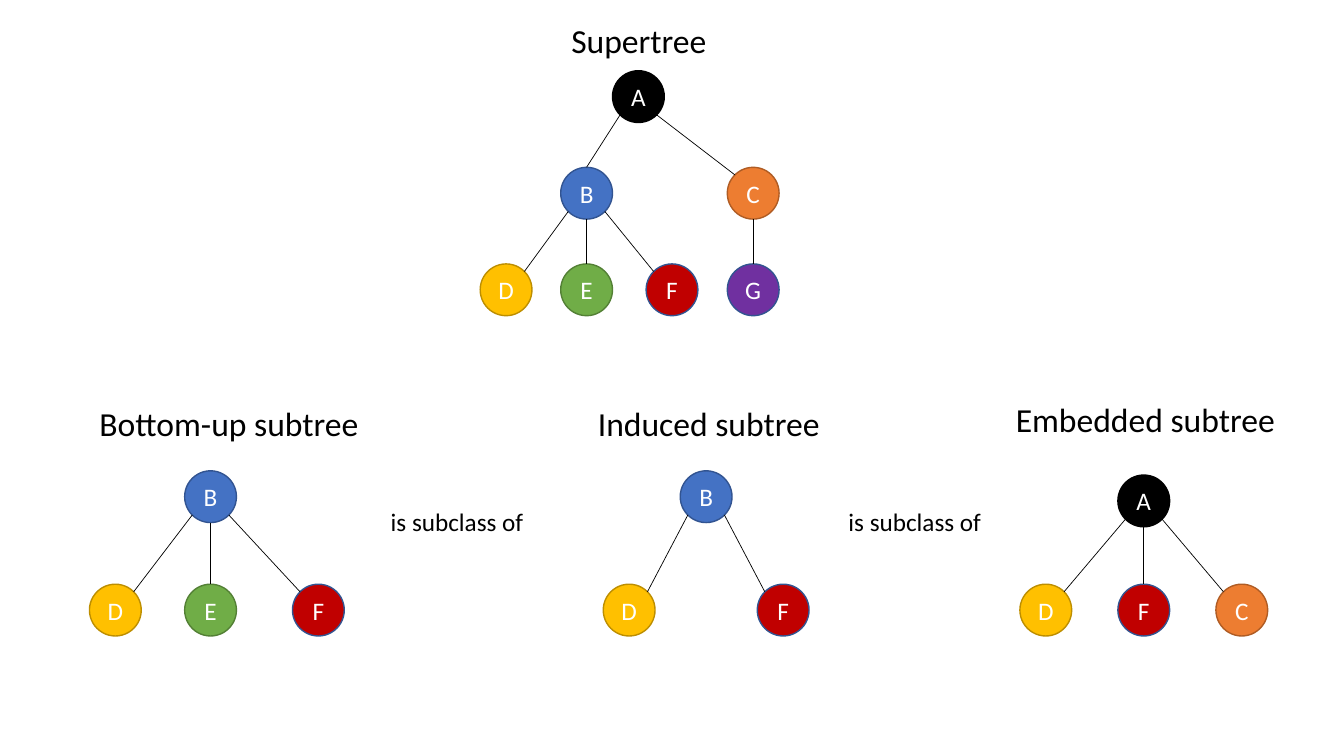
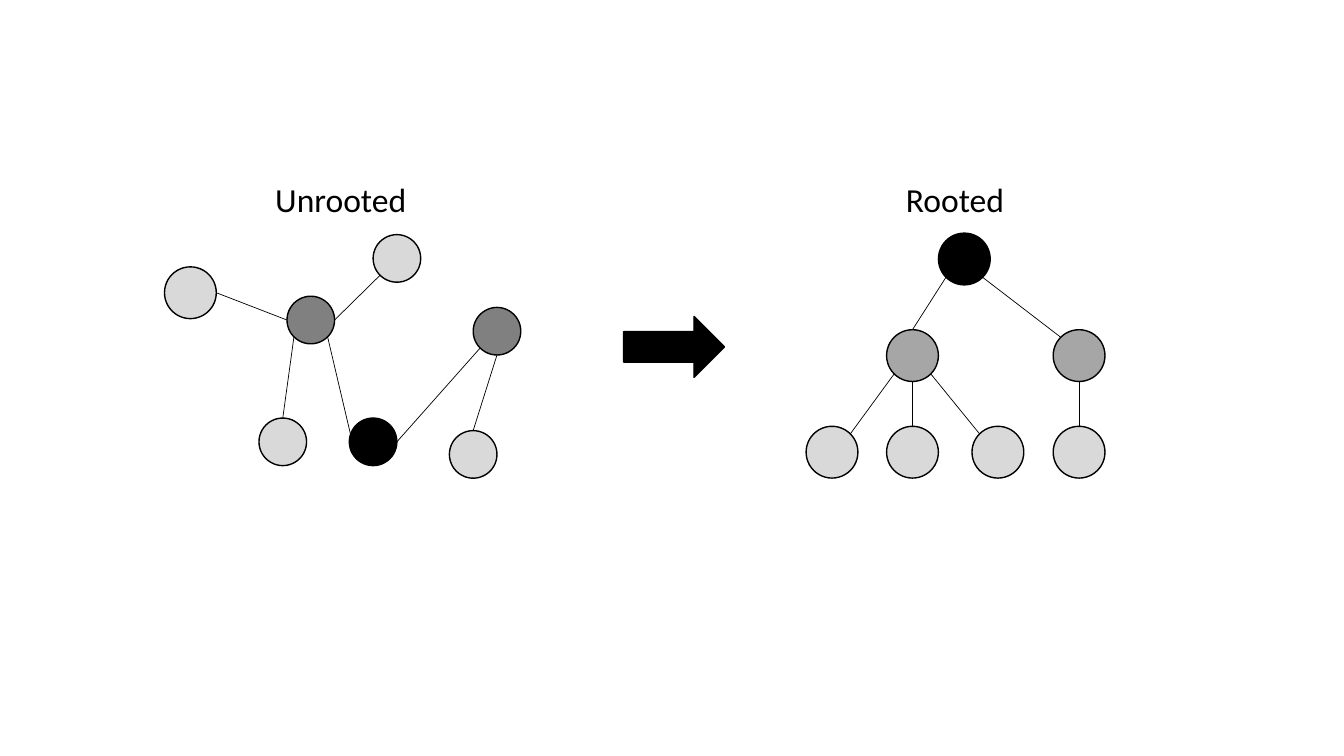
from math import sqrt

from lxml import etree
from pptx import Presentation
from pptx.dml.color import RGBColor as RGB
from pptx.enum.shapes import MSO_CONNECTOR as CONN, MSO_SHAPE as SHAPE
from pptx.enum.text import MSO_ANCHOR as ANCHOR, MSO_AUTO_SIZE as AUTO, PP_ALIGN as ALIGN
from pptx.oxml.ns import qn
from pptx.util import Pt

# Theme: colours and type sizes
THEME = {
    "ink": RGB.from_string("000000"),
    "caption": {"name": "Calibri", "size": Pt(24)},
    "label": {"name": "Calibri", "size": Pt(18)},
    "paper": RGB.from_string("FFFFFF"),
    "edge": Pt(0.5),
    "outline": Pt(1),
    # node look: fill, outline
    "looks": {
        "A": ("000000", "000000"),
        "B": ("4472C4", "325491"),
        "C": ("ED7D31", "AF5C24"),
        "D": ("FFC000", "BD8E00"),
        "E": ("70AD47", "538035"),
        "F": ("C00000", "325491"),
        "G": ("7030A0", "325491"),
        "root": ("000000", "000000"),
        "hub": ("808080", "000000"),
        "inner": ("A6A6A6", "000000"),
        "leaf": ("D9D9D9", "000000"),
    },
}

# Connection sites of an ellipse: index, x and y as parts of the radius
d = sqrt(0.5)
SITES = {
    "N": (0, 0, -1), "NW": (1, -d, -d), "W": (2, -1, 0), "SW": (3, -d, d),
    "S": (4, 0, 1), "SE": (5, d, d), "E": (6, 1, 0), "NE": (7, d, -d),
}


def add_text(shapes, text, left, top, width, height, style):
    sp = shapes.add_textbox(Pt(left), Pt(top), Pt(width), Pt(height))
    tf = sp.text_frame
    tf.word_wrap, tf.auto_size = False, AUTO.SHAPE_TO_FIT_TEXT
    r = tf.paragraphs[0].add_run()
    r.text = text
    for key, value in THEME[style].items():
        setattr(r.font, key, value)
    r.font.color.rgb = THEME["ink"]


def add_tree(sl, caption, origin, nodes, edges, looks=None, size=37, sizes=None):
    """Draw one captioned group; without looks, nodes are coloured and labelled by name."""
    shapes = sl.shapes.add_group_shape().shapes
    placed = {}
    for name, (dx, dy) in nodes.items():
        x, y, dia = origin[0] + dx, origin[1] + dy, (sizes or {}).get(name, size)
        sp = shapes.add_shape(SHAPE.OVAL, Pt(x - dia / 2), Pt(y - dia / 2), Pt(dia), Pt(dia))
        fill, line = THEME["looks"][looks[name] if looks else name]
        sp.shadow.inherit = False
        sp.fill.solid()
        sp.fill.fore_color.rgb = RGB.from_string(fill)
        sp.line.color.rgb = RGB.from_string(line)
        sp.line.width = THEME["outline"]
        placed[name] = sp, x, y, dia / 2
        if looks:
            continue
        tf = sp.text_frame
        for key in ("margin_left", "margin_right", "margin_top", "margin_bottom"):
            setattr(tf, key, 0)
        tf.vertical_anchor = ANCHOR.MIDDLE
        p = tf.paragraphs[0]
        p.alignment = ALIGN.CENTER
        r = p.add_run()
        r.text = name
        for key, value in THEME["label"].items():
            setattr(r.font, key, value)
        r.font.color.rgb = THEME["paper"]

    # Edges read "start end start-site end-site"
    for edge in edges:
        start, end, *sites = edge.split()
        points, glue = [], []
        for name, site in zip((start, end), sites):
            sp, x, y, radius = placed[name]
            idx, sx, sy = SITES[site]
            points += [Pt(x + sx * radius), Pt(y + sy * radius)]
            glue.append((sp.shape_id, idx))
        cx = shapes.add_connector(CONN.STRAIGHT, *points)
        cx.line.color.rgb = THEME["ink"]
        cx.line.width = THEME["edge"]
        etree.SubElement(cx._element.spPr, qn("a:effectLst"))
        ends = cx._element.find(".//" + qn("p:cNvCxnSpPr"))
        for tag, (shape_id, idx) in zip(("a:stCxn", "a:endCxn"), glue):
            etree.SubElement(ends, qn(tag), id=str(shape_id), idx=str(idx))
    add_text(shapes, *caption, 36, "caption")


prs = Presentation()
prs.slide_width, prs.slide_height = Pt(960), Pt(540)
blank = prs.slide_layouts[6]

# Full tree, used on both slides; offsets from the root
full_nodes = {
    "A": (0, 0), "B": (-37, 69), "C": (82, 69),
    "D": (-94.5, 138), "E": (-37, 138), "F": (24, 138), "G": (82, 138),
}
full_edges = ["A B SW N", "A C SE NW", "B E S N", "B D SW NE", "B F SE NW", "C G S N"]

# Slide 1: supertree and its kinds of subtree
sl = prs.slides.add_slide(blank)
add_tree(sl, ("Supertree", 401, 11, 112), (456, 69), full_nodes, full_edges)
add_tree(sl, ("Bottom-up subtree", 64, 284, 202), (150.4, 354.8),
         {"B": (0, 0), "D": (-68, 81), "E": (0, 81), "F": (77, 81)},
         ["B D SW NE", "B E S N", "B F SE NW"])
add_tree(sl, ("Induced subtree", 420, 284, 175), (504.4, 354.8),
         {"B": (0, 0), "D": (-55, 81), "F": (55, 81)},
         ["B D SW NE", "B F SE NW"])
add_tree(sl, ("Embedded subtree", 718.5, 281.5, 202), (817, 357.8),
         {"A": (0, 0), "D": (-70, 78), "F": (0, 78), "C": (70, 78)},
         ["A D SW NE", "A F S N", "A C SE NW"])
for left in (272, 599):
    add_text(sl.shapes, "is subclass of", left, 358, 110, 29, "label")

# Slide 2: unrooted tree, arrow, rooted tree
sl = prs.slides.add_slide(blank)
add_tree(sl, ("Unrooted", 189.5, 124, 109), (222, 228.6),
         {"hub": (0, 0), "low": (-20, 87), "high": (61.5, -44), "far": (116, 96),
          "hub2": (133, 8), "root": (44.5, 87), "left": (-86, -19.5)},
         ["hub root SE SW", "low hub N SW", "root hub2 E SW", "hub2 far S N",
          "hub high E SW", "left hub E W"],
         {"hub": "hub", "hub2": "hub", "root": "root",
          "low": "leaf", "high": "leaf", "far": "leaf", "left": "leaf"},
         34, {"left": 37})
rooted_looks = dict.fromkeys("DEFG", "leaf") | dict.fromkeys("BC", "inner") | {"A": "root"}
add_tree(sl, ("Rooted", 640, 124, 86), (688.8, 185), full_nodes, full_edges, rooted_looks)

sp = sl.shapes.add_shape(SHAPE.RIGHT_ARROW, Pt(445.5), Pt(226), Pt(72), Pt(43.5))
sp.shadow.inherit = False
sp.fill.solid()
sp.fill.fore_color.rgb = sp.line.color.rgb = THEME["ink"]
sp.line.width = THEME["outline"]

prs.save("out.pptx")
